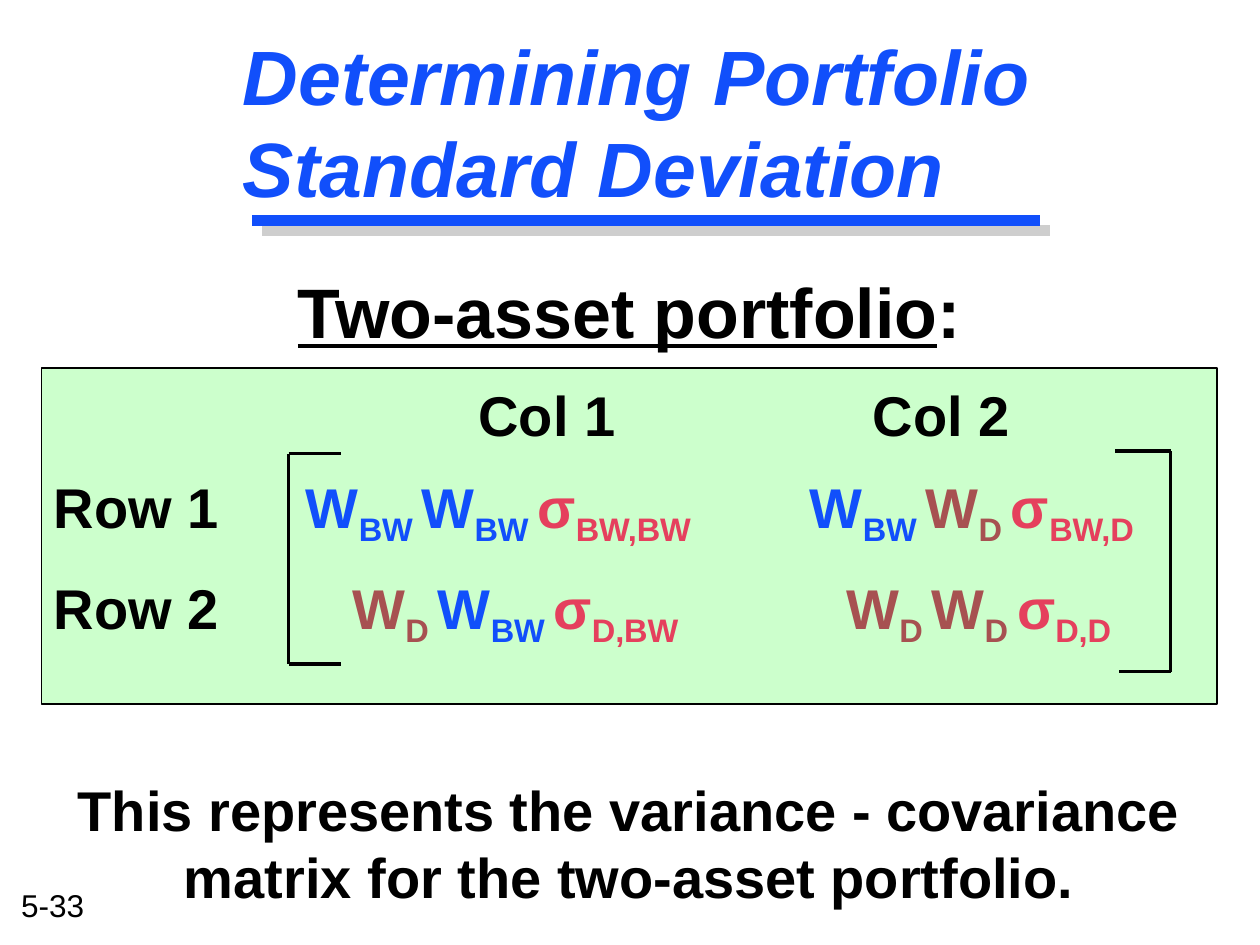
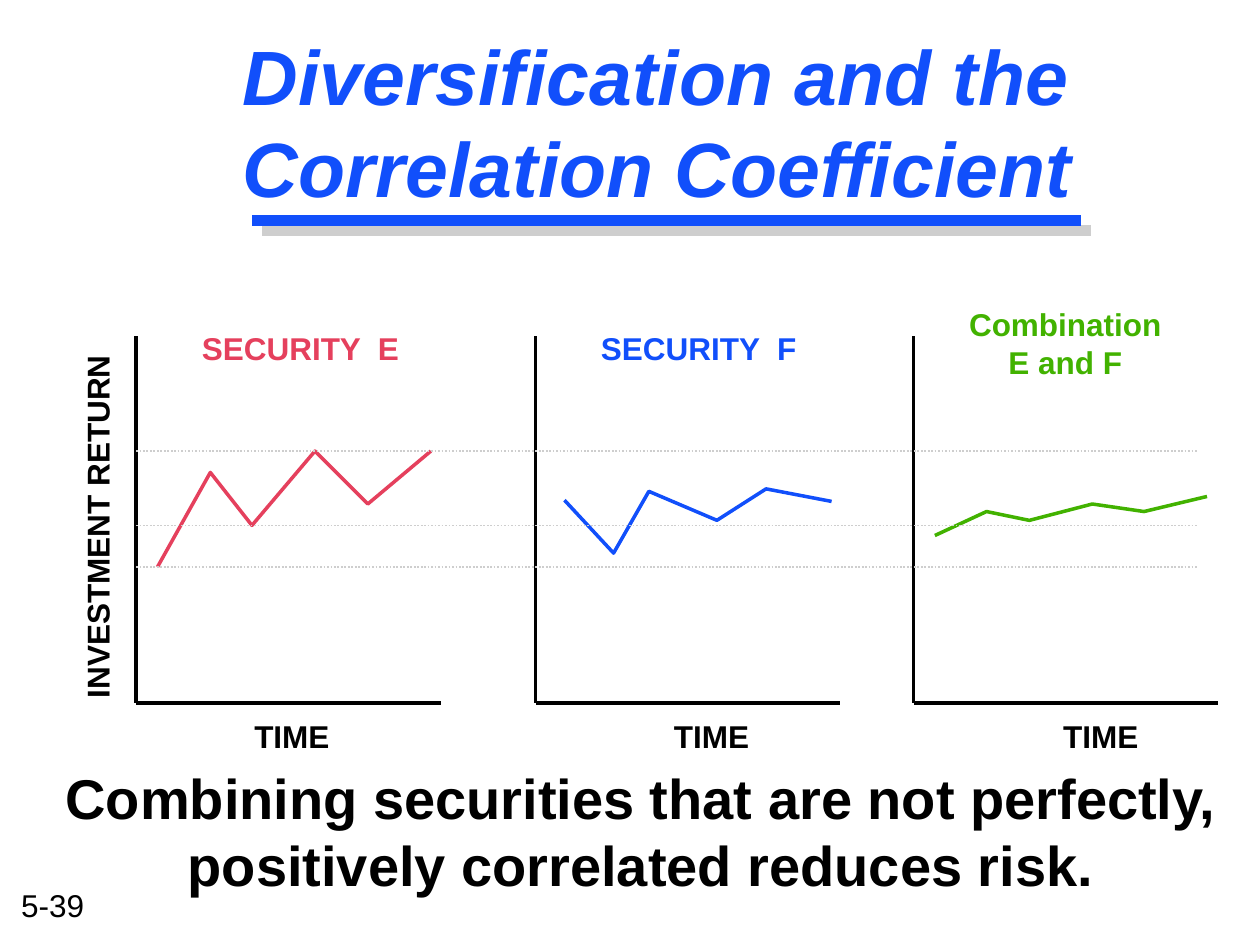
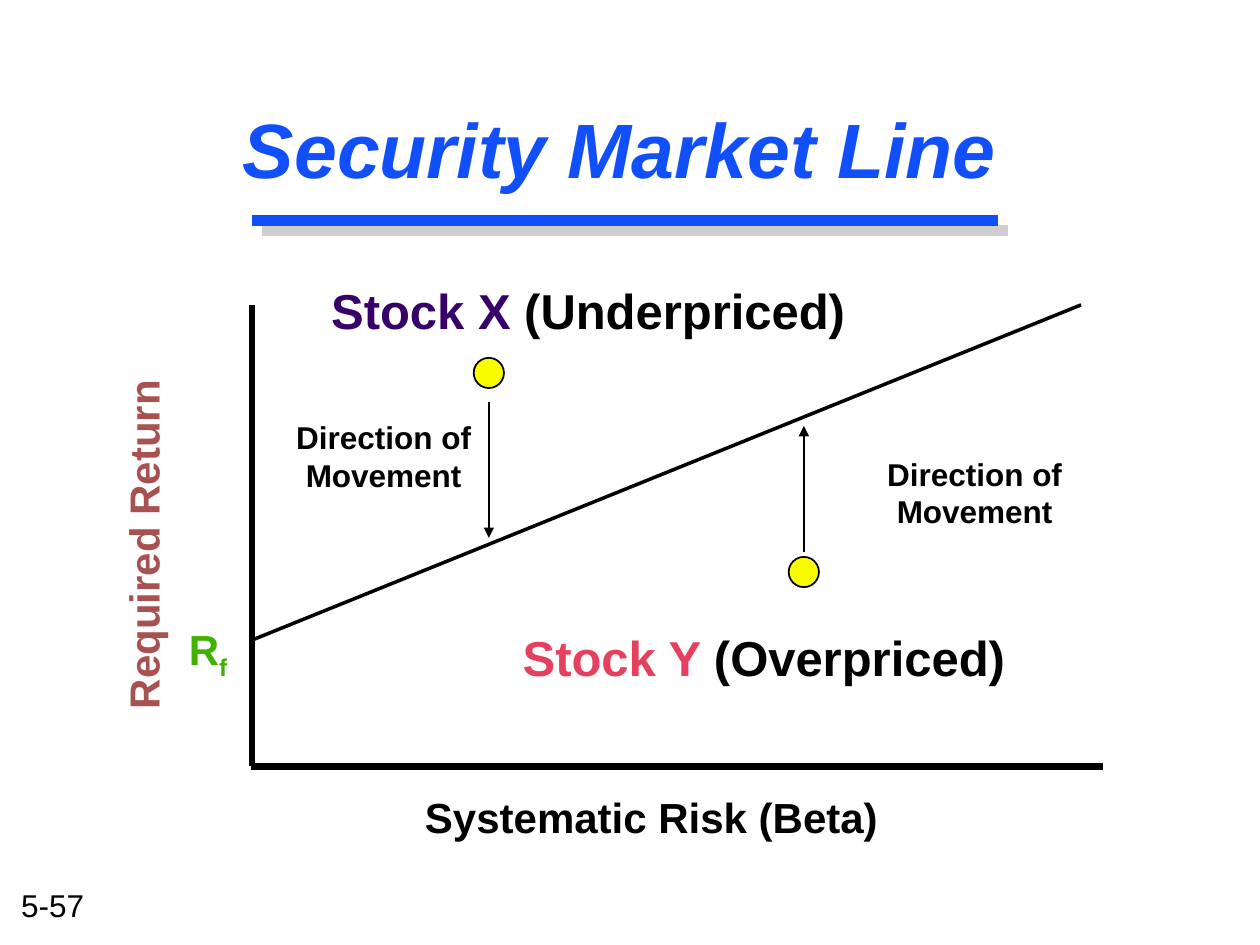
from dataclasses import dataclass
from lxml.etree import SubElement
from pptx import Presentation
from pptx.dml.color import RGBColor
from pptx.enum.dml import MSO_LINE
from pptx.enum.shapes import MSO_CONNECTOR, MSO_SHAPE
from pptx.enum.text import MSO_ANCHOR, MSO_AUTO_SIZE, PP_ALIGN
from pptx.oxml.ns import qn
from pptx.util import Inches, Pt


@dataclass(frozen=True)
class Theme:
    """Colours, font and type sizes shared by the slides."""
    font: str = "Arial"
    black: str = "000000"
    blue: str = "114FFB"
    red: str = "E5405D"
    brown: str = "A75151"
    green: str = "42B200"
    purple: str = "380069"
    gray: str = "CECECE"
    mint: str = "CCFFCC"
    yellow: str = "FAFD00"
    title: int = 44
    heading: int = 40
    body: int = 32
    stock: int = 28
    axis: int = 24
    label: int = 18


THEME = Theme()
CENTER = PP_ALIGN.CENTER

# ---- Content: title, title box, underline length, page number
MATRIX_HEAD = ("Determining Portfolio Standard Deviation", (1.83, 0, 8.08, 1.92), 6.25, "5-33")
CORRELATION_HEAD = ("Diversification and the Correlation Coefficient", (1.83, 0, 8.08, 1.92), 6.58, "5-39")
MARKET_HEAD = ("Security Market Line", (1.83, 0.42, 7.83, 1.5), 5.92, "5-57")

# Matrix cells are pairs of assets; each row has its own tab stops
ASSET_COLORS = {"BW": THEME.blue, "D": THEME.brown}
COLUMN_HEADS = (("Col 1", "Col 2"), (3.37, 6.5))
MATRIX_ROWS = [
    ("Row 1", [("BW", "BW"), ("BW", "D")], (2.0, 6.0)),
    ("Row 2", [("D", "BW"), ("D", "D")], (2.37, 6.29)),
]
# Bracket: upright x, top, bottom, tips of the upper and lower arms
BRACKETS = [(2.29, 3.6, 5.27, 2.71, 2.71), (9.29, 3.58, 5.33, 8.85, 8.88)]
MATRIX_NOTE = "This represents the variance - covariance matrix for the two-asset portfolio."

# Plot: axis x, colour, label lines, label box, TIME x, points
PLOTS = [
    (1.08, THEME.red, ["SECURITY  E"], (1.5, 2.56, 1.77, 0.4), 1.92,
     [(1.25, 4.5), (1.67, 3.75), (2, 4.17), (2.5, 3.58), (2.92, 4), (3.42, 3.58)]),
    (4.25, THEME.blue, ["SECURITY  F"], (4.67, 2.56, 1.75, 0.4), 5.25,
     [(4.48, 3.97), (4.87, 4.39), (5.15, 3.9), (5.69, 4.13), (6.08, 3.88), (6.6, 3.98)]),
    (7.25, THEME.green, ["Combination", "E and F"], (7.59, 2.37, 1.73, 0.7), 8.34,
     [(7.42, 4.25), (7.83, 4.06), (8.17, 4.13), (8.67, 4), (9.08, 4.06), (9.58, 3.94)]),
]
PLOT_TOP, PLOT_BOTTOM, PLOT_WIDTH = 2.67, 5.58, 2.42
GUIDE_LEVELS = (4.5, 4.17, 3.58)
CORRELATION_NOTE = "Combining securities that are not perfectly, positively correlated reduces risk."

# Stock: name, colour, verdict, label box, dot centre, arrow ends (y), note box
STOCKS = [
    ("Stock X ", THEME.purple, "(Underpriced)", (2.53, 2.18, 4.29, 0.56),
     (3.88, 2.96), (3.19, 4.27), (2.25, 3.27, 1.59, 0.7)),
    ("Stock Y ", THEME.red, "(Overpriced)", (4.05, 4.93, 4.05, 0.56),
     (6.38, 4.54), (4.38, 3.38), (6.94, 3.56, 1.59, 0.7)),
]
MOVEMENT = ["Direction of", "Movement"]
DOT_SIZE = 0.24


# ---- Helpers
def rgb(color):
    """Turn a hex string into a colour."""
    return RGBColor.from_string(color)


def set_all(target, values):
    """Set each attribute named in a dict."""
    for name, value in values.items():
        setattr(target, name, value)


def add_run(paragraph, text, size, color=THEME.black, subscript=False, **style):
    """Add one run of text in the theme font."""
    run = paragraph.add_run()
    run.text = text
    set_all(run.font, {"name": THEME.font, "size": Pt(size), "bold": True, **style})
    run.font.color.rgb = rgb(color)
    if subscript:
        run._r.get_or_add_rPr().set("baseline", "-25000")
    return run


def add_frame(slide, box, wrap=False, rotation=0, anchor=MSO_ANCHOR.TOP):
    """Add an empty text box and return its text frame."""
    shape = slide.shapes.add_textbox(*map(Inches, box))
    shape.rotation = rotation
    fit = MSO_AUTO_SIZE.NONE if wrap else MSO_AUTO_SIZE.SHAPE_TO_FIT_TEXT
    set_all(shape.text_frame, {"word_wrap": wrap, "auto_size": fit, "vertical_anchor": anchor})
    return shape.text_frame


def add_label(slide, lines, box, size, color=THEME.black, align=None, rotation=0, wrap=False, **style):
    """Add a text box with one paragraph per line."""
    frame = add_frame(slide, box, wrap, rotation)
    for index, line in enumerate(lines):
        paragraph = frame.add_paragraph() if index else frame.paragraphs[0]
        paragraph.alignment = align
        add_run(paragraph, line, size, color, **style)


def add_line(slide, start, end, width, color=THEME.black, dash=None, arrow=False):
    """Draw a straight line, dashed or with an arrowhead if asked."""
    connector = slide.shapes.add_connector(MSO_CONNECTOR.STRAIGHT, *map(Inches, (*start, *end)))
    connector.line.color.rgb = rgb(color)
    set_all(connector.line, {"width": Pt(width), "dash_style": dash})
    if arrow:
        SubElement(connector.line._get_or_add_ln(), qn("a:tailEnd"), type="triangle")
    SubElement(connector._element.spPr, qn("a:effectLst"))


def add_filled(slide, kind, box, fill):
    """Add a filled preset shape with a thin black outline."""
    shape = slide.shapes.add_shape(kind, *map(Inches, box))
    shape.shadow.inherit = False
    shape.fill.solid()
    shape.fill.fore_color.rgb = rgb(fill)
    shape.line.color.rgb = rgb(THEME.black)
    shape.line.width = Pt(1)


def add_curve(slide, points, color):
    """Draw an open line through points."""
    start, *rest = [tuple(map(Inches, point)) for point in points]
    builder = slide.shapes.build_freeform(*start)
    builder.add_line_segments(rest, close=False)
    shape = builder.convert_to_shape()
    shape.shadow.inherit = False
    shape.fill.background()
    shape.line.color.rgb = rgb(color)
    shape.line.width = Pt(2)


def start_slide(presentation, head):
    """Add a slide with page number, shadowed title and double underline."""
    title, box, length, number = head
    slide = presentation.slides.add_slide(presentation.slide_layouts[6])
    add_label(slide, [number], (0.07, 6.98, 0.73, 0.4), THEME.label, bold=False)
    add_line(slide, (2.08, 1.83), (2.08 + length, 1.83), 6, THEME.gray)
    frame = add_frame(slide, box, wrap=True, anchor=MSO_ANCHOR.MIDDLE)
    run = add_run(frame.paragraphs[0], title, THEME.title, THEME.blue, italic=True)
    effects = SubElement(run._r.rPr, qn("a:effectLst"))
    run._r.rPr.find(qn("a:solidFill")).addnext(effects)
    shadow = SubElement(effects, qn("a:outerShdw"), dist="71842", dir="2700000")
    SubElement(shadow, qn("a:srgbClr"), val=THEME.gray)
    add_line(slide, (2, 1.75), (2 + length, 1.75), 6, THEME.blue)
    return slide


def set_tabs(paragraph, stops):
    """Give a paragraph left tab stops, in inches from the text edge."""
    tabs = SubElement(paragraph._p.get_or_add_pPr(), qn("a:tabLst"))
    for stop in stops:
        SubElement(tabs, qn("a:tab"), pos=str(Inches(stop)), algn="l")


def add_cell(paragraph, pair):
    """Write one weighted covariance term after a tab."""
    add_run(paragraph, "\t", THEME.body)
    for asset in pair:
        add_run(paragraph, "W", THEME.body, ASSET_COLORS[asset])
        add_run(paragraph, asset + " ", THEME.body, ASSET_COLORS[asset], subscript=True)
    add_run(paragraph, "σ", THEME.body, THEME.red)
    add_run(paragraph, ",".join(pair), THEME.body, THEME.red, subscript=True)


# ---- Slides
def build_matrix(presentation):
    """Variance-covariance matrix in brackets on a green panel."""
    slide = start_slide(presentation, MATRIX_HEAD)
    add_filled(slide, MSO_SHAPE.RECTANGLE, (0.33, 2.92, 9.33, 2.67), THEME.mint)
    frame = add_frame(slide, (0.33, 2.08, 9.33, 5.25), wrap=True)

    def next_paragraph(before=7, after=7, align=None):
        """Start a paragraph with its spacing."""
        paragraph = frame.add_paragraph()
        set_all(paragraph, {"space_before": Pt(before), "space_after": Pt(after), "alignment": align})
        return paragraph

    heading = frame.paragraphs[0]
    set_all(heading, {"space_before": Pt(4), "space_after": Pt(9), "alignment": CENTER})
    add_run(heading, "Two-asset portfolio", THEME.heading, underline=True)
    add_run(heading, ":", THEME.heading)
    names, stops = COLUMN_HEADS
    columns = next_paragraph()
    set_tabs(columns, stops)
    for name in names:
        add_run(columns, "\t" + name, THEME.body)
    for name, cells, stops in MATRIX_ROWS:
        row = next_paragraph()
        set_tabs(row, stops)
        add_run(row, name, THEME.body)
        for pair in cells:
            add_cell(row, pair)
    add_run(next_paragraph(before=65, align=CENTER), MATRIX_NOTE, THEME.body)
    for x, top, bottom, upper_tip, lower_tip in BRACKETS:
        add_line(slide, (x, top), (x, bottom), 2)
        add_line(slide, (x, top), (upper_tip, top), 2)
        add_line(slide, (x, bottom), (lower_tip, bottom), 2)


def build_correlation(presentation):
    """Three return plots side by side with shared guide lines."""
    slide = start_slide(presentation, CORRELATION_HEAD)
    add_label(slide, [CORRELATION_NOTE], (0.31, 6.01, 9.56, 1.11), THEME.body, align=CENTER, wrap=True)
    add_label(slide, ["INVESTMENT RETURN"], (-0.69, 3.98, 2.92, 0.4), THEME.label, rotation=270)
    for x, color, lines, box, time_x, points in PLOTS:
        add_line(slide, (x, PLOT_TOP), (x, PLOT_BOTTOM), 2)
        add_line(slide, (x, PLOT_BOTTOM), (x + PLOT_WIDTH, PLOT_BOTTOM), 2)
        add_curve(slide, points, color)
        add_label(slide, lines, box, THEME.label, color, CENTER)
        add_label(slide, ["TIME"], (time_x, 5.64, 0.8, 0.4), THEME.label)
    for level in GUIDE_LEVELS:
        add_line(slide, (PLOTS[0][0], level), (9.5, level), 1, THEME.gray, MSO_LINE.ROUND_DOT)


def build_market_line(presentation):
    """Security market line with two mispriced stocks."""
    slide = start_slide(presentation, MARKET_HEAD)
    add_line(slide, (2, 2.42), (2, 6.08), 4)
    add_line(slide, (8.75, 6.08), (1.99, 6.08), 4)
    add_line(slide, (2, 5.08), (8.58, 2.42), 2)
    add_label(slide, ["Systematic Risk (Beta)"], (3.27, 6.23, 3.8, 0.5), THEME.axis, align=CENTER)
    add_label(slide, ["Required Return"], (-0.27, 4.07, 2.81, 0.5), THEME.axis, THEME.brown, rotation=270)
    risk_free = add_frame(slide, (1.4, 4.9, 0.51, 0.5)).paragraphs[0]
    add_run(risk_free, "R", THEME.axis, THEME.green)
    add_run(risk_free, "f", THEME.axis, THEME.green, subscript=True)
    for name, color, verdict, box, (x, y), (start, end), note_box in STOCKS:
        dot = (x - DOT_SIZE / 2, y - DOT_SIZE / 2, DOT_SIZE, DOT_SIZE)
        add_filled(slide, MSO_SHAPE.OVAL, dot, THEME.yellow)
        add_line(slide, (x, start), (x, end), 1, arrow=True)
        add_label(slide, MOVEMENT, note_box, THEME.label, align=CENTER)
        paragraph = add_frame(slide, box).paragraphs[0]
        add_run(paragraph, name, THEME.stock, color)
        add_run(paragraph, verdict, THEME.stock)


presentation = Presentation()
set_all(presentation, {"slide_width": Inches(10), "slide_height": Inches(7.5)})
for build in (build_matrix, build_correlation, build_market_line):
    build(presentation)
presentation.save("out.pptx")
